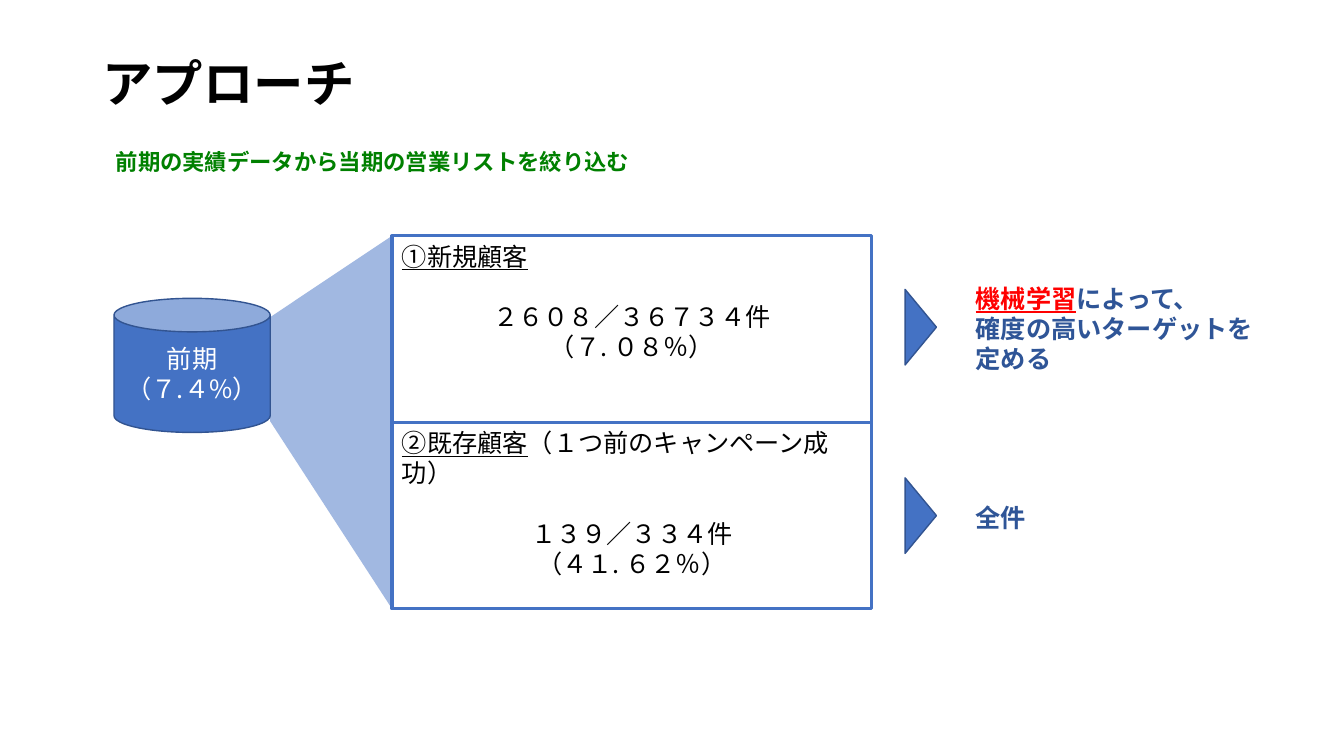
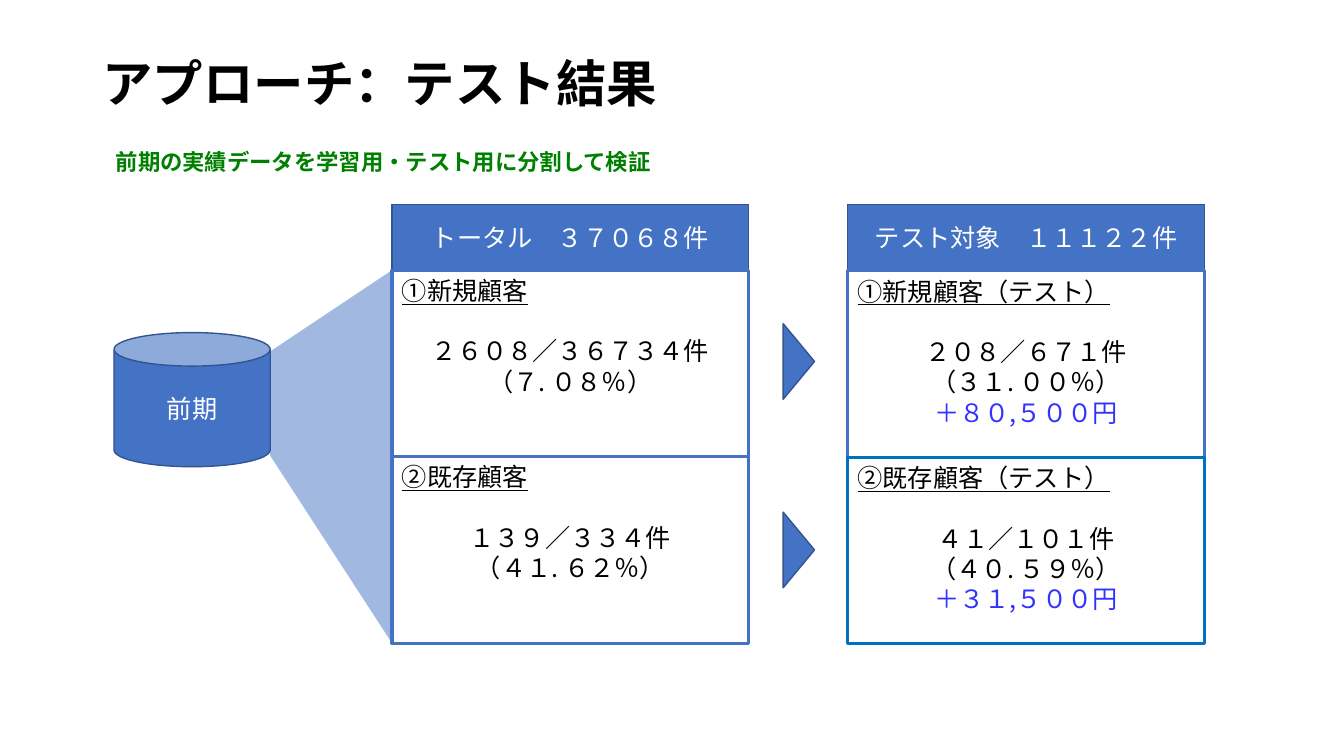
from dataclasses import dataclass
from lxml.etree import SubElement
from pptx import Presentation
from pptx.dml.color import RGBColor
from pptx.enum.shapes import MSO_SHAPE
from pptx.enum.text import MSO_ANCHOR, MSO_AUTO_SIZE, PP_ALIGN
from pptx.oxml.ns import qn
from pptx.util import Pt

BLACK = RGBColor(0x00, 0x00, 0x00)
WHITE = RGBColor(0xFF, 0xFF, 0xFF)
BLUE = RGBColor(0x44, 0x72, 0xC4)
EDGE = RGBColor(0x32, 0x54, 0x91)
NAVY = RGBColor(0x2F, 0x55, 0x97)
TEAL = RGBColor(0x00, 0x70, 0xC0)
GREEN = RGBColor(0x00, 0x80, 0x00)
RED = RGBColor(0xFF, 0x00, 0x00)
GAIN = RGBColor(0x33, 0x33, 0xFF)
JAPANESE = "Noto Sans CJK JP"

FRAME_LEFT = 280
FRAME_HEIGHT = 133.2
HEADER_HEIGHT = 46.8
ROW_PITCH = 134.6


@dataclass
class Line:
    text: str
    color: RGBColor = BLACK
    size: float = 18
    font: str = JAPANESE
    bold: bool = False
    underline: bool = False
    align: PP_ALIGN = PP_ALIGN.LEFT
    before: float = 0
    spacing: float = 1.0
    tail: str = ""
    tail_color: RGBColor = BLACK


class Deck:
    def __init__(self):
        self.presentation = Presentation()
        self.presentation.slide_width = Pt(960)
        self.presentation.slide_height = Pt(540)
        self.slide = None

    def set_lines(self, frame, lines, anchor=MSO_ANCHOR.TOP):
        frame.word_wrap = True
        frame.vertical_anchor = anchor
        for index, line in enumerate(lines):
            paragraph = frame.add_paragraph() if index else frame.paragraphs[0]
            paragraph.alignment = line.align
            paragraph.space_before = Pt(line.before)
            paragraph.line_spacing = line.spacing
            font = paragraph.font
            font.size = Pt(line.size)
            font.bold = line.bold
            font.color.rgb = line.color
            font.name = line.font
            defaults = paragraph._p.get_or_add_pPr().find(qn("a:defRPr"))
            SubElement(defaults, qn("a:ea")).set("typeface", JAPANESE)
            lead = paragraph.add_run()
            lead.text = line.text
            if line.tail:
                lead.font.underline = line.underline
                tail = paragraph.add_run()
                tail.text = line.tail
                tail.font.color.rgb = line.tail_color
            else:
                font.underline = line.underline

    def start(self, heading, message):
        self.slide = self.presentation.slides.add_slide(self.presentation.slide_layouts[5])
        title = self.slide.shapes.title
        title.left, title.top, title.width, title.height = Pt(66), Pt(28.8), Pt(828), Pt(65.5)
        self.set_lines(title.text_frame, [Line(heading, size=36, bold=True, spacing=0.9)],
                       MSO_ANCHOR.MIDDLE)
        self.text(75.6, 100, 818.6, 33.2,
                  [Line(message, GREEN, 16, "Montserrat", True, spacing=0.9)],
                  MSO_ANCHOR.MIDDLE)

    def text(self, left, top, width, height, lines, anchor=MSO_ANCHOR.TOP, grow=False):
        box = self.slide.shapes.add_textbox(Pt(left), Pt(top), Pt(width), Pt(height))
        self.set_lines(box.text_frame, lines, anchor)
        if grow:
            box.text_frame.auto_size = MSO_AUTO_SIZE.SHAPE_TO_FIT_TEXT

    def shape(self, kind, left, top, width, height, fill=BLUE, edge=EDGE, weight=1):
        shape = self.slide.shapes.add_shape(kind, Pt(left), Pt(top), Pt(width), Pt(height))
        shape.shadow.inherit = False
        shape.fill.solid()
        shape.fill.fore_color.rgb = fill
        shape.line.color.rgb = edge
        shape.line.width = Pt(weight)
        return shape

    def label(self, kind, left, top, width, height, texts):
        shape = self.shape(kind, left, top, width, height)
        self.set_lines(shape.text_frame,
                       [Line(text, WHITE, align=PP_ALIGN.CENTER) for text in texts],
                       MSO_ANCHOR.MIDDLE)

    def funnel(self, top):
        builder = self.slide.shapes.build_freeform(Pt(FRAME_LEFT), Pt(top))
        builder.add_line_segments([(Pt(FRAME_LEFT), Pt(top + 2 * FRAME_HEIGHT)),
                                   (Pt(193), Pt(top + 132.5)),
                                   (Pt(193.7), Pt(top + 57.6))])
        funnel = builder.convert_to_shape()
        funnel.shadow.inherit = False
        funnel.fill.solid()
        funnel.fill.fore_color.rgb = BLUE
        color = funnel._element.spPr.find(qn("a:solidFill"))[0]
        SubElement(color, qn("a:alpha")).set("val", "50000")
        funnel.line.fill.background()

    def source(self, top, texts):
        self.funnel(top)
        self.label(MSO_SHAPE.CAN, 81.4, top + 44.6, 111.6, 95.8, texts)

    def segments(self, left, top, width, segments, edges=(BLUE, BLUE)):
        for row, ((heading, note, count, rate, *gains), edge) in enumerate(zip(segments, edges)):
            frame = self.shape(MSO_SHAPE.RECTANGLE, left, top + row * FRAME_HEIGHT,
                               width, FRAME_HEIGHT, WHITE, edge, 2.25)
            center = PP_ALIGN.CENTER
            self.set_lines(frame.text_frame, [
                Line(heading, underline=True, tail=note),
                Line(count, align=center, before=21.6),
                Line(rate, align=center),
                *[Line(gain, GAIN, align=center) for gain in gains]])

    def header(self, left, top, width, text):
        self.label(MSO_SHAPE.RECTANGLE, left, top - HEADER_HEIGHT, width, HEADER_HEIGHT, [text])

    def arrows(self, center, top):
        length, depth = 54, 22.4
        for row in range(2):
            middle = top + 65.2 + row * ROW_PITCH
            arrow = self.shape(MSO_SHAPE.FLOWCHART_EXTRACT, center - length / 2,
                               middle - depth / 2, length, depth)
            arrow.rotation = 90


NEW = ("２６０８／３６７３４件", "（７. ０８％）")
EXISTING = ("１３９／３３４件", "（４１. ６２％）")

deck = Deck()

deck.start("アプローチ", "前期の実績データから当期の営業リストを絞り込む")
approach_top = 168.5
deck.source(approach_top, ["前期", "（７.４%）"])
deck.segments(FRAME_LEFT, approach_top, 342.7, [
    ("①新規顧客", "", *NEW),
    ("②既存顧客", "（１つ前のキャンペーン成功）", *EXISTING)])
deck.text(689.8, 198.7, 221.8, 72.7, [
    Line("機械学習", RED, font="Arial", bold=True, underline=True,
         tail="によって、", tail_color=NAVY),
    Line("確度の高いターゲットを定める", NAVY, font="Arial", bold=True)], grow=True)
deck.text(689.8, 355, 221.8, 28.8, [Line("全件", NAVY, font="Arial", bold=True)], grow=True)
deck.arrows(657.7, approach_top)

deck.start("アプローチ：テスト結果", "前期の実績データを学習用・テスト用に分割して検証")
result_top = 193
column_width = 254.9
test_left = 605.5
deck.source(result_top, ["前期"])
deck.header(FRAME_LEFT, result_top, column_width, "トータル　３７０６８件")
deck.segments(FRAME_LEFT, result_top, column_width, [
    ("①新規顧客", "", *NEW),
    ("②既存顧客", "", *EXISTING)])
deck.header(test_left, result_top, column_width, "テスト対象　１１１２２件")
deck.segments(test_left, result_top + 0.5, column_width, [
    ("①新規顧客（テスト）", "", "２０８／６７１件", "（３１. ００％）", "＋８０,５００円"),
    ("②既存顧客（テスト）", "", "４１／１０１件", "（４０. ５９％）", "＋３１,５００円")],
    (BLUE, TEAL))
deck.arrows(570.6, result_top)

deck.presentation.save("out.pptx")
